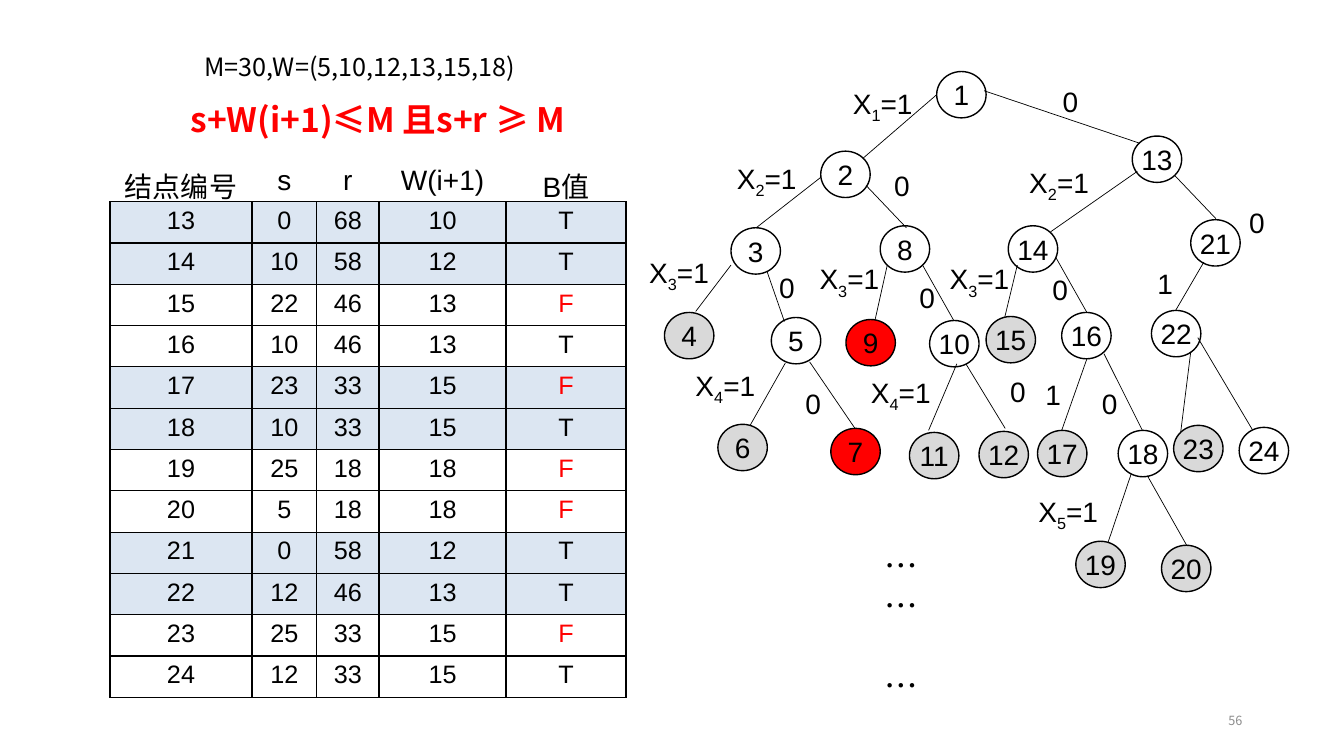
"""Build the slide on backtracking for the subset-sum problem: a value table and its search tree."""
from lxml import etree
from pptx import Presentation
from pptx import util as u
from pptx.dml.color import RGBColor
from pptx.enum import shapes, text
from pptx.oxml.ns import qn

COLORS = {"black": "000000", "red": "FF0000", "gray": "D9D9D9", "blue": "DCE6F2",
          "white": "FFFFFF", "number": "8C8C8C"}
CJK = "Noto Sans CJK SC"
LABEL = {"size": u.Pt(20), "name": "Arial"}
CELL = {"size": u.Pt(18), "name": "Arial"}
FORMULA = {"size": u.Pt(24), "name": CJK, "bold": True}
GIVEN = {"size": u.Pt(18), "name": CJK}
DOTS = {"size": u.Pt(24), "name": CJK}
PAGE = {"size": u.Pt(9), "name": CJK}

NODE_SIZE = (0.49, 0.46)
NODES = {
    1: (9.29, 0.71), 2: (8.14, 1.5), 3: (7.25, 2.26), 4: (6.59, 3.1), 5: (7.65, 3.15),
    6: (7.12, 4.21), 7: (8.24, 4.25), 8: (8.73, 2.24), 9: (8.39, 3.17), 10: (9.22, 3.18),
    11: (9.02, 4.29), 12: (9.71, 4.28), 13: (11.23, 1.35), 14: (10, 2.24), 15: (9.78, 3.14),
    16: (10.53, 3.1), 17: (10.29, 4.27), 18: (11.09, 4.27), 19: (10.67, 5.37),
    20: (11.52, 5.41), 21: (11.81, 2.18), 22: (11.42, 3.08), 23: (11.64, 4.22),
    24: (12.29, 4.24)}
NODE_FILLS = {**dict.fromkeys((4, 6, 11, 12, 15, 17, 19, 20, 23), "gray"),
              **dict.fromkeys((7, 9), "red")}
EDGES = [
    (9.29, 0.94, 8.56, 1.57), (9.76, 0.9, 11.3, 1.42), (8.14, 1.76, 7.5, 2.26),
    (8.59, 1.84, 8.99, 2.26), (7.25, 2.63, 6.9, 3.09), (7.61, 2.7, 7.78, 3.19),
    (7.79, 3.6, 7.44, 4.22), (8.03, 3.59, 8.48, 4.25), (8.8, 2.63, 8.68, 3.17),
    (9.15, 2.63, 9.46, 3.18), (9.49, 3.61, 9.21, 4.27), (9.58, 3.61, 9.97, 4.25),
    (11.28, 1.7, 10.42, 2.3), (11.65, 1.74, 12.06, 2.17), (10.09, 2.63, 9.96, 3.17),
    (10.47, 2.55, 10.78, 3.1), (10.78, 3.56, 10.53, 4.27), (10.95, 3.51, 11.33, 4.27),
    (11.22, 4.7, 10.98, 5.41), (11.38, 4.72, 11.77, 5.41), (11.94, 2.6, 11.66, 3.08),
    (11.81, 3.49, 11.71, 4.29), (11.88, 3.35, 12.42, 4.26)]
CHOICE_LABELS = [
    ("1", 8.36, 0.81), ("2", 7.21, 1.55), ("2", 10.11, 1.59), ("3", 6.34, 2.49),
    ("3", 8.03, 2.55), ("3", 9.32, 2.55), ("4", 6.8, 3.61), ("4", 8.54, 3.68),
    ("5", 10.2, 4.86)]
DIGIT_LABELS = [
    ("0", 10.44, 0.79), ("0", 8.77, 1.62), ("0", 12.29, 1.99), ("0", 7.63, 2.63),
    ("0", 9.02, 2.73), ("0", 10.34, 2.65), ("0", 7.89, 3.79), ("0", 9.92, 3.67),
    ("0", 10.83, 3.79), ("1", 11.38, 2.59), ("1", 10.27, 3.7)]

COLUMN_WIDTHS = (1.41, 0.64, 0.62, 1.26, 1.19)
ROW_HEIGHT = 0.41
HEADER = ("结点编号", "s", "r", "W(i+1)", "B值")
ROWS = [
    (13, 0, 68, 10, "T"), (14, 10, 58, 12, "T"), (15, 22, 46, 13, "F"),
    (16, 10, 46, 13, "T"), (17, 23, 33, 15, "F"), (18, 10, 33, 15, "T"),
    (19, 25, 18, 18, "F"), (20, 5, 18, 18, "F"), (21, 0, 58, 12, "T"),
    (22, 12, 46, 13, "T"), (23, 25, 33, 15, "F"), (24, 12, 33, 15, "T")]
SHADED_NODES = {13, 14, 17, 18, 21, 22}


def rgb(color):
    """Return the named colour."""
    return RGBColor.from_string(COLORS[color])


def add_run(paragraph, words, style, color="black", baseline=None):
    """Append a formatted run."""
    run = paragraph.add_run()
    run.text = words
    for attribute, value in style.items():
        setattr(run.font, attribute, value)
    run.font.color.rgb = rgb(color)
    properties = run.font._element
    etree.SubElement(properties, qn("a:ea")).set("typeface", CJK)
    if baseline:
        properties.set("baseline", str(baseline))


def add_text(slide, box, words, style, color="black"):
    """Add a wrapped text box and return its first paragraph."""
    frame = slide.shapes.add_textbox(*map(u.Inches, box)).text_frame
    frame.word_wrap = True
    paragraph = frame.paragraphs[0]
    add_run(paragraph, words, style, color)
    return paragraph


def add_choice(slide, level, left, top):
    """Label an edge that takes the item at this level."""
    paragraph = add_text(slide, (left, top, 0.9, 0.44), "X", LABEL)
    add_run(paragraph, level, LABEL, baseline=-25000)
    add_run(paragraph, "=1", LABEL)


def add_edge(slide, ends):
    """Draw a thin tree edge."""
    edge = slide.shapes.add_connector(shapes.MSO_CONNECTOR.STRAIGHT, *map(u.Inches, ends))
    edge.line.color.rgb = rgb("black")
    edge.line.width = u.Pt(0.5)
    etree.SubElement(edge._element.spPr, qn("a:effectLst"))


def add_node(slide, number, place):
    """Draw a numbered tree node."""
    node = slide.shapes.add_shape(shapes.MSO_SHAPE.OVAL, *map(u.Inches, place + NODE_SIZE))
    node.shadow.inherit = False
    if number in NODE_FILLS:
        node.fill.solid()
        node.fill.fore_color.rgb = rgb(NODE_FILLS[number])
    else:
        node.fill.background()
    node.line.color.rgb = rgb("black")
    node.line.width = u.Pt(1)
    frame = node.text_frame
    frame.word_wrap = False
    frame.vertical_anchor = text.MSO_ANCHOR.MIDDLE
    frame.paragraphs[0].alignment = text.PP_ALIGN.CENTER
    add_run(frame.paragraphs[0], str(number), LABEL)


def set_borders(cell, sides):
    """Draw black borders on the given cell sides, ahead of the fill."""
    properties = cell._tc.get_or_add_tcPr()
    for index, side in enumerate(sides):
        line = etree.Element(qn(f"a:ln{side}"), w=str(u.Pt(1)))
        fill = etree.SubElement(line, qn("a:solidFill"))
        etree.SubElement(fill, qn("a:srgbClr"), val=COLORS["black"])
        properties.insert(index, line)


def fill_cell(cell, words, style, color, fill, sides):
    """Write and format one table cell."""
    paragraph = cell.text_frame.paragraphs[0]
    paragraph.alignment = text.PP_ALIGN.CENTER
    add_run(paragraph, words, style, color)
    cell.fill.solid()
    cell.fill.fore_color.rgb = rgb(fill)
    set_borders(cell, sides)


def add_values(slide):
    """Add the table of node values."""
    count = len(ROWS) + 1
    box = (1.09, 1.59, sum(COLUMN_WIDTHS), ROW_HEIGHT * count)
    table = slide.shapes.add_table(count, len(HEADER), *map(u.Inches, box)).table
    table.first_row = table.horz_banding = False
    for column, width in zip(table.columns, COLUMN_WIDTHS):
        column.width = u.Inches(width)
    for row in table.rows:
        row.height = u.Inches(ROW_HEIGHT)
    for cell, words in zip(table.rows[0].cells, HEADER):
        fill_cell(cell, words, LABEL, "black", "white", "B")
        cell.margin_bottom = 0
    for row, values in zip(list(table.rows)[1:], ROWS):
        fill = "blue" if values[0] in SHADED_NODES else "white"
        for cell, value in zip(row.cells, values):
            fill_cell(cell, str(value), CELL, "red" if value == "F" else "black", fill, "LRTB")


def add_dots(slide):
    """Add the three ellipses that stand for the rest of the tree."""
    first = add_text(slide, (8.67, 5.36, 2.45, 1.72), "…", DOTS)
    first.line_spacing = u.Pt(28.6)
    frame = slide.shapes[-1].text_frame
    for gap in (0, 28.6):
        paragraph = frame.add_paragraph()
        paragraph.line_spacing = u.Pt(28.6)
        paragraph.space_before = u.Pt(gap)
        add_run(paragraph, "…", DOTS)


def main():
    """Build and save the slide."""
    presentation = Presentation()
    presentation.slide_width, presentation.slide_height = u.Inches(13.33), u.Inches(7.5)
    slide = presentation.slides.add_slide(presentation.slide_layouts[6])
    given = add_text(slide, (1.93, 0.31, 6.67, 0.51), "M=30,W=(5,10,12,13,15,18)", GIVEN)
    given.line_spacing = 1.5
    add_text(slide, (1.79, 0.93, 4.3, 0.5), "s+W(i+1)≤M 且s+r ≥ M", FORMULA, "red")
    add_values(slide)
    for ends in EDGES:
        add_edge(slide, ends)
    for number, place in NODES.items():
        add_node(slide, number, place)
    for label in CHOICE_LABELS:
        add_choice(slide, *label)
    for digit, left, top in DIGIT_LABELS:
        add_text(slide, (left, top, 0.37, 0.44), digit, LABEL)
    add_dots(slide)
    page = add_text(slide, (9.42, 6.95, 3, 0.4), "56", PAGE, "number")
    page.alignment = text.PP_ALIGN.RIGHT
    slide.shapes[-1].text_frame.vertical_anchor = text.MSO_ANCHOR.MIDDLE
    presentation.save("out.pptx")


if __name__ == "__main__":
    main()
